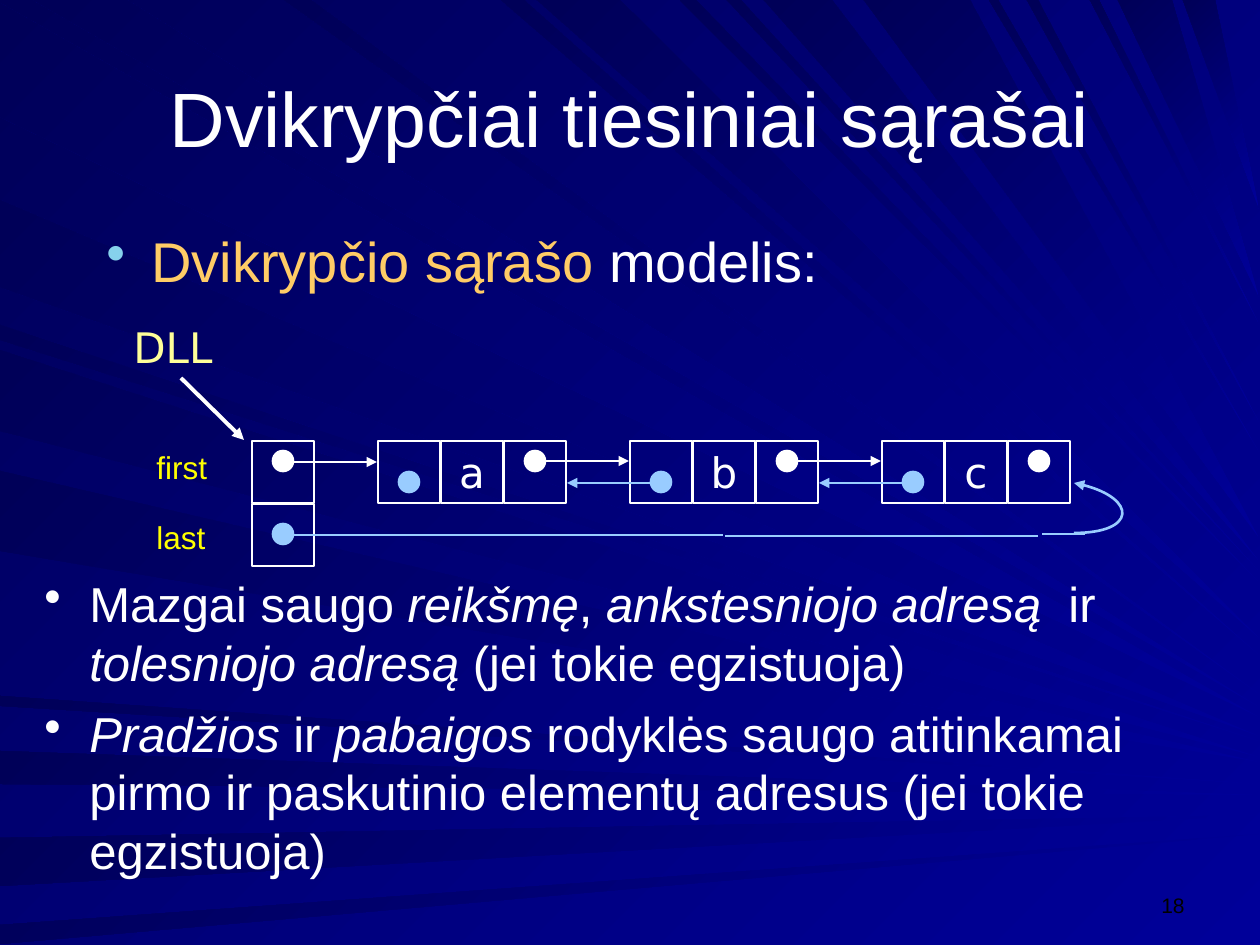
from lxml.etree import SubElement
from pptx import Presentation
from pptx.dml.color import RGBColor
from pptx.enum.shapes import MSO_CONNECTOR, MSO_SHAPE
from pptx.enum.text import MSO_ANCHOR, PP_ALIGN
from pptx.oxml.ns import qn
from pptx.util import Emu, Pt

SCALE = 914400 / 126
ROYAL = RGBColor(0x00, 0x00, 0x99)
DEEP = RGBColor(0x00, 0x00, 0x58)
WHITE = RGBColor(0xFF, 0xFF, 0xFF)
BLACK = RGBColor(0x00, 0x00, 0x00)
SKY = RGBColor(0x99, 0xCC, 0xFF)
AQUA = RGBColor(0x86, 0xD1, 0xEC)
GOLD = RGBColor(0xFF, 0xCC, 0x66)
CREAM = RGBColor(0xFF, 0xFF, 0x99)
YELLOW = RGBColor(0xFF, 0xFF, 0x00)


def px(*lengths):
    return [Emu(round(length * SCALE)) for length in lengths]


def add_arrowhead(line):
    SubElement(line._get_or_add_ln(), qn("a:tailEnd"), type="triangle")


prs = Presentation()
prs.slide_width, prs.slide_height = px(1260, 945)
slide = prs.slides.add_slide(prs.slide_layouts[5])
shapes = slide.shapes

backdrop = slide.background.fill
backdrop.gradient()
backdrop.gradient_angle = 135
for stop, color in zip(backdrop.gradient_stops, (ROYAL, DEEP)):
    stop.color.rgb = color

left_rays = [
    (3, 117, 717), (751, 784, 795), (838, 886, 815), (925, 944, 834), (325, 340, 741),
    (200, 287, 736), (350, 431, 757), (471, 551, 762), (696, 706, 784),
]
top_rays = [
    (33, 127, 707), (501, 524, 655), (537, 620, 638), (680, 696, 582), (764, 832, 561),
    (1118, 1172, 297), (1183, 1215, 209), (284, 311, 694), (727, 741, 571),
    (864, 970, 538), (989, 998, 452), (1027, 1038, 422), (1090, 1099, 324),
]
rays = [((0, a), (0, b), (1259, tip)) for a, b, tip in left_rays]
rays += [((a, 0), (b, 0), (1259, tip)) for a, b, tip in top_rays]
for root, edge, tip in rays:
    builder = shapes.build_freeform(*root, scale=SCALE)
    builder.add_line_segments([edge, tip])
    ray = builder.convert_to_shape()
    ray.shadow.inherit = False
    ray.line.fill.background()
    ray.fill.gradient()
    ray.fill.gradient_angle = 135
    for stop, color in zip(ray.fill.gradient_stops, (ROYAL, DEEP)):
        stop.color.rgb = color

title = shapes.title
shapes._spTree.append(title._element)
title.left, title.top, title.width, title.height = px(63, 38, 1134, 158)
title.text_frame.text = "Dvikrypčiai tiesiniai sąrašai"
title.text_frame.vertical_anchor = MSO_ANCHOR.MIDDLE
heading = title.text_frame.paragraphs[0]
heading.alignment = PP_ALIGN.CENTER
heading.font.size = Pt(44)
heading.font.name = "Arial"
heading.font.color.rgb = WHITE

nodes = [(378 + 252 * i, value) for i, value in enumerate("abc")]
cells = [(252, 441, ""), (252, 504, "")]
dots = [(273, 451, WHITE), (273, 524, SKY)]
links = [
    (181, 378, 244, 440, WHITE, 2.25, True),
    (284, 462, 377, 462, WHITE, 1.5, True),
    (284, 535, 723, 535, SKY, 1.5, False),
    (725, 536, 1038, 536, SKY, 1.5, False),
    (1085, 534, 1042, 534, SKY, 1.5, False),
]
for left, value in nodes:
    cells += [(left, 441, ""), (left + 63, 441, value), (left + 126, 441, "")]
    dots += [(left + 21, 472, SKY), (left + 147, 451, WHITE)]
for left, value in nodes[:-1]:
    links.append((left + 158, 461, left + 251, 461, WHITE, 1.5, True))
    links.append((left + 284, 483, left + 189, 483, SKY, 1.5, True))

for left, top, value in cells:
    cell = shapes.add_shape(MSO_SHAPE.RECTANGLE, *px(left, top, 62, 62))
    cell.shadow.inherit = False
    cell.fill.background()
    cell.line.color.rgb = WHITE
    cell.line.width = Pt(1.5)
    if value:
        cell.text_frame.text = value
        cell.text_frame.word_wrap = False
        cell.text_frame.vertical_anchor = MSO_ANCHOR.MIDDLE
        letter = cell.text_frame.paragraphs[0]
        letter.alignment = PP_ALIGN.CENTER
        letter.font.size = Pt(24)
        letter.font.name = "DejaVu Sans"
        letter.font.color.rgb = WHITE

for left, top, color in dots:
    dot = shapes.add_shape(MSO_SHAPE.OVAL, *px(left, top, 20, 20))
    dot.shadow.inherit = False
    dot.fill.solid()
    dot.fill.fore_color.rgb = color
    dot.line.color.rgb = color
    dot.line.width = Pt(1.5)

for x1, y1, x2, y2, color, weight, pointed in links:
    link = shapes.add_connector(MSO_CONNECTOR.STRAIGHT, *px(x1, y1, x2, y2))
    link.line.color.rgb = color
    link.line.width = Pt(weight)
    if pointed:
        add_arrowhead(link.line)
    SubElement(link._element.spPr, qn("a:effectLst"))

builder = shapes.build_freeform(1074, 533, scale=SCALE)
builder.add_line_segments([(1137, 533), (1137, 495), (1074, 483)], close=False)
loop = builder.convert_to_shape()
loop.shadow.inherit = False
loop.fill.background()
loop.line.color.rgb = SKY
loop.line.width = Pt(1.5)
add_arrowhead(loop.line)
outline = loop._element.xpath(".//a:path")[0]
bend = SubElement(outline, qn("a:cubicBezTo"))
for segment in outline.findall(qn("a:lnTo")):
    bend.append(segment[0])
    outline.remove(segment)

texts = [
    ((94, 220, 1071, 94), 32, "Arial", WHITE, PP_ALIGN.LEFT, AQUA,
     [[("Dvikrypčio sąrašo", GOLD, False), (" modelis:", None, False)]]),
    ((32, 567, 1197, 346), 28, "Arial", WHITE, PP_ALIGN.LEFT, WHITE,
     [[("Mazgai saugo ", None, False), ("reikšmę", None, True), (",", None, False),
       (" ankstesniojo adresą ", None, True), (" ir ", None, False),
       ("tolesniojo adresą", None, True), (" (jei tokie egzistuoja)", None, False)],
      [("Pradžios", None, True), (" ir ", None, False), ("pabaigos", None, True),
       (" rodyklės saugo atitinkamai pirmo ir paskutinio elementų adresus"
        " (jei tokie egzistuoja)", None, False)]]),
    ((84, 315, 178, 63), 24, "DejaVu Sans", CREAM, PP_ALIGN.CENTER, None, [[("DLL", None, False)]]),
    ((144, 442, 76, 50), 18, "Arial", YELLOW, PP_ALIGN.LEFT, None, [[("first", None, False)]]),
    ((144, 512, 74, 50), 18, "Arial", YELLOW, PP_ALIGN.LEFT, None, [[("last", None, False)]]),
    ((903, 861, 294, 63), 12, "Arial", BLACK, PP_ALIGN.RIGHT, None, [[("18", None, False)]]),
]
for box, size, font, color, alignment, bullet, paragraphs in texts:
    frame = shapes.add_textbox(*px(*box)).text_frame
    frame.word_wrap = True
    frame.vertical_anchor = MSO_ANCHOR.BOTTOM if size == 12 else MSO_ANCHOR.TOP
    for i, runs in enumerate(paragraphs):
        paragraph = frame.add_paragraph() if i else frame.paragraphs[0]
        paragraph.alignment = alignment
        if i:
            paragraph.space_before = Pt(7)
        if bullet:
            indent = px(45)[0]
            props = paragraph._p.get_or_add_pPr()
            props.set("marL", str(indent))
            props.set("indent", str(-indent))
            SubElement(SubElement(props, qn("a:buClr")), qn("a:srgbClr"), val=str(bullet))
            SubElement(props, qn("a:buChar"), char="•")
        paragraph.font.size = Pt(size)
        paragraph.font.name = font
        paragraph.font.color.rgb = color
        for words, accent, italic in runs:
            run = paragraph.add_run()
            run.text = words
            if italic:
                run.font.italic = True
            if accent:
                run.font.color.rgb = accent

prs.save("out.pptx")
